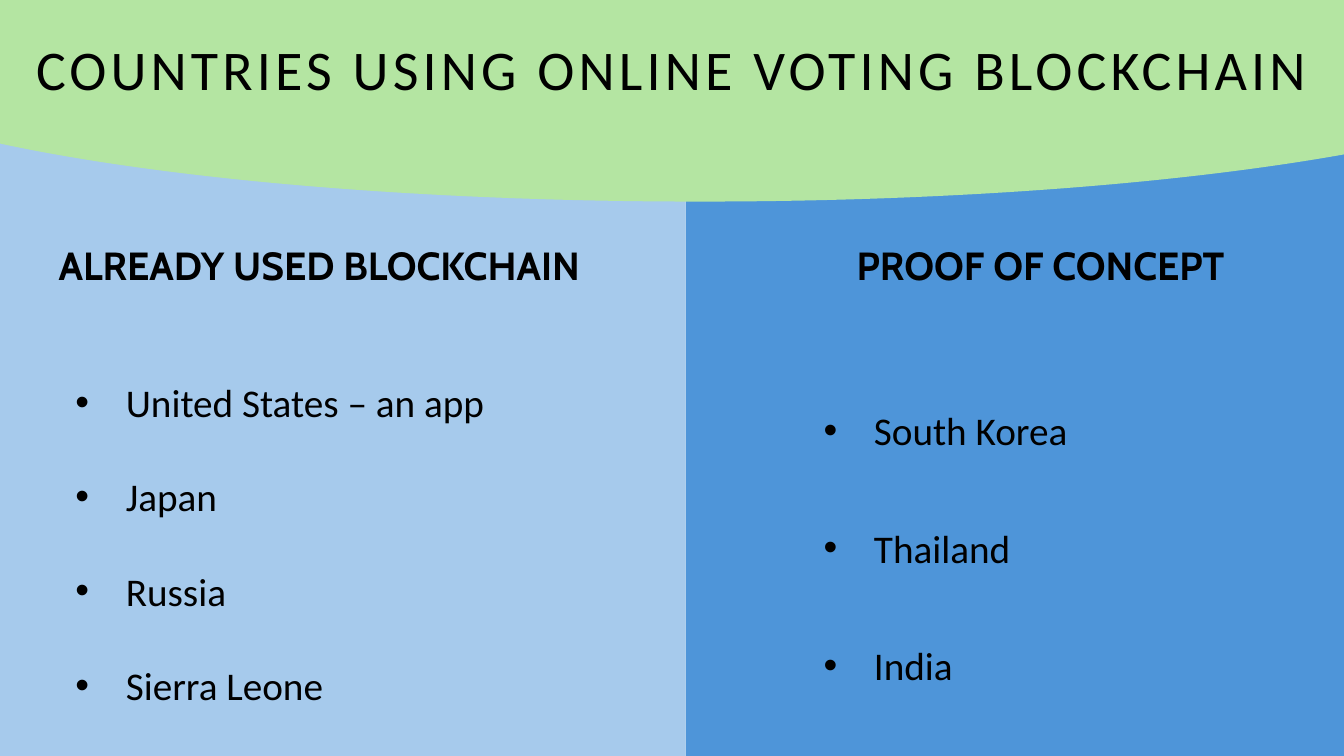
import pptx
import pptx.dml.color
import pptx.enum.shapes
import pptx.enum.text
import pptx.util
from lxml import etree

PX = 9144  # EMU per px, 100 px to the inch
COLOURS = {
    "right panel": "4E95D9",
    "left panel": "A6CAEC",
    "banner": "B4E5A2",
    "text": "000000",
}
SHAPES = pptx.enum.shapes.MSO_SHAPE
ALIGN = pptx.enum.text.PP_ALIGN


def lengths(*pixels):
    return [pptx.util.Emu(pixel * PX) for pixel in pixels]


def colour(name):
    return pptx.dml.color.RGBColor.from_string(COLOURS[name])


def add_area(slide, kind, box, fill):
    shape = slide.shapes.add_shape(kind, *lengths(*box))
    shape.shadow.inherit = False
    shape.fill.solid()
    shape.fill.fore_color.rgb = colour(fill)
    shape.line.fill.background()


def prepare_frame(shape):
    frame = shape.text_frame
    frame.word_wrap = True
    frame.auto_size = pptx.enum.text.MSO_AUTO_SIZE.NONE
    frame.vertical_anchor = pptx.enum.text.MSO_ANCHOR.TOP
    return frame


def add_run(paragraph, text, size, font, bold=False):
    run = paragraph.add_run()
    run.text = text
    run.font.size = pptx.util.Pt(size)
    run.font.name = font
    run.font.bold = bold
    run.font.color.rgb = colour("text")
    return run


def set_title(slide, box, text):
    title = slide.shapes.title
    title.left, title.top, title.width, title.height = lengths(*box)
    paragraph = prepare_frame(title).paragraphs[0]
    paragraph.alignment = ALIGN.CENTER
    paragraph.line_spacing = 1.0
    run = add_run(paragraph, text, 40, "Calibri")
    run.font._element.set("spc", "300")
    # Bring the title in front of the coloured areas
    title.element.getparent().append(title.element)


def add_heading(slide, box, text):
    frame = prepare_frame(slide.shapes.add_textbox(*lengths(*box)))
    paragraph = frame.paragraphs[0]
    paragraph.alignment = ALIGN.CENTER
    add_run(paragraph, text, 28, "Cabin", bold=True)


def add_bullet(paragraph):
    properties = paragraph._p.get_or_add_pPr()
    properties.set("marL", str(50 * PX))
    properties.set("indent", str(-50 * PX))
    namespace = properties.nsmap["a"]
    font = etree.SubElement(properties, f"{{{namespace}}}buFont")
    font.set("typeface", "Arial")
    bullet = etree.SubElement(properties, f"{{{namespace}}}buChar")
    bullet.set("char", "•")


def add_country_list(slide, box, countries, line_spacing):
    frame = prepare_frame(slide.shapes.add_textbox(*lengths(*box)))
    for index, country in enumerate(countries):
        paragraph = frame.add_paragraph() if index else frame.paragraphs[0]
        paragraph.line_spacing = line_spacing
        add_bullet(paragraph)
        add_run(paragraph, country, 28, "Calibri")


def main():
    presentation = pptx.Presentation()
    presentation.slide_width, presentation.slide_height = lengths(1333, 750)
    slide = presentation.slides.add_slide(presentation.slide_layouts[5])

    # Background panels and curved banner
    add_area(slide, SHAPES.RECTANGLE, (680, -30, 703, 985), "right panel")
    add_area(slide, SHAPES.RECTANGLE, (-23, -30, 703, 985), "left panel")
    add_area(slide, SHAPES.OVAL, (-195, -107, 1778, 307), "banner")

    # Title
    set_title(slide, (0, 29, 1333, 145), "COUNTRIES USING ONLINE VOTING BLOCKCHAIN")

    # Column headings
    add_heading(slide, (-28, 234, 689, 57), "ALREADY USED BLOCKCHAIN")
    add_heading(slide, (789, 234, 486, 57), "PROOF OF CONCEPT")

    # Country lists
    users = ["United States – an app", "Japan", "Russia", "Sierra Leone"]
    add_country_list(slide, (65, 324, 504, 372), users, 2.0)
    trials = ["South Korea", "Thailand", "India"]
    add_country_list(slide, (807, 328, 504, 342), trials, 2.5)

    presentation.save("out.pptx")


if __name__ == "__main__":
    main()
